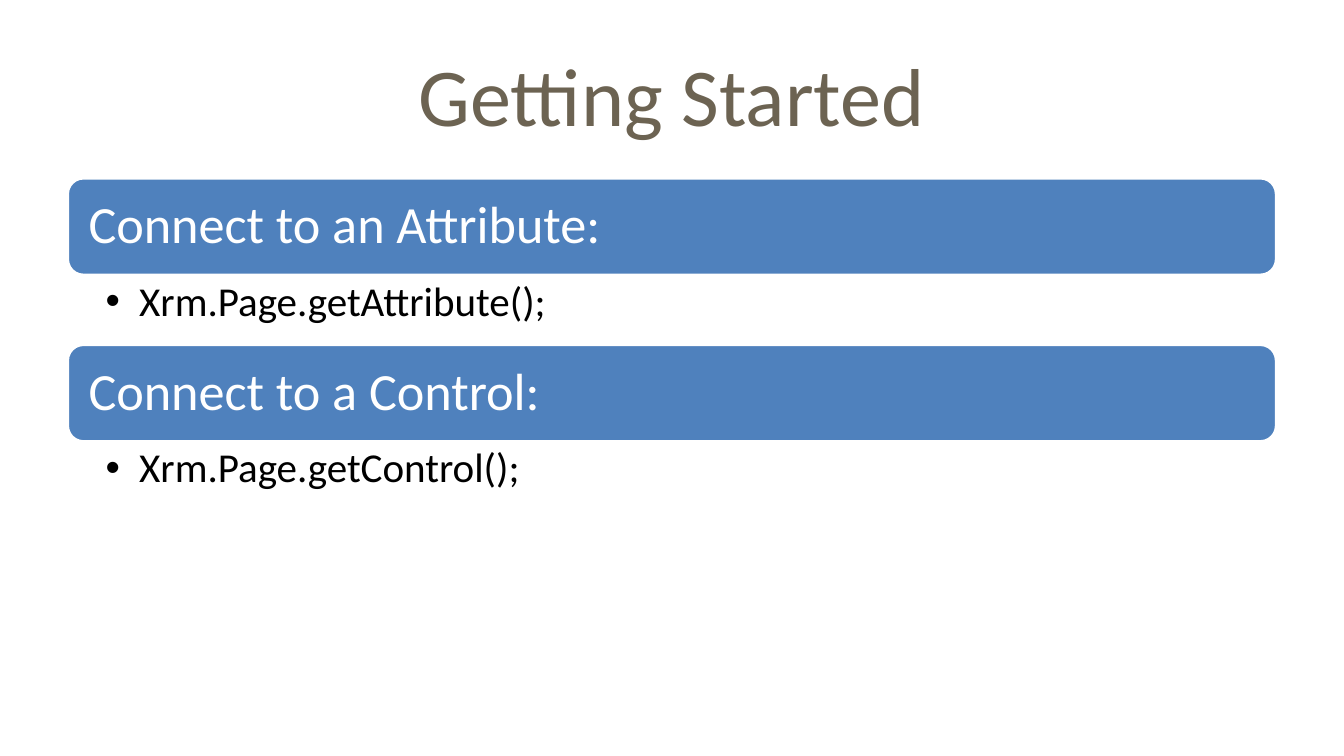
from dataclasses import dataclass
from lxml import etree
from pptx import Presentation
from pptx.dml.color import RGBColor
from pptx.enum import shapes, text
from pptx.oxml import ns
from pptx.util import Pt

HEADING = "Getting Started"
STEPS = [
    ("Connect to an Attribute:", "Xrm.Page.getAttribute();"),
    ("Connect to a Control:", "Xrm.Page.getControl();"),
]


@dataclass(frozen=True)
class Theme:
    font: str = "Calibri"
    heading: str = "6C6352"
    banner: str = "4F81BD"
    light: str = "FFFFFF"
    dark: str = "000000"
    heading_size: int = 44
    banner_size: int = 28
    call_size: int = 22


THEME = Theme()
LEFT, WIDTH = 36, 648
HEADING_TOP, HEADING_HEIGHT = 16.5, 67.5
STEPS_TOP, BANNER_HEIGHT, CALL_HEIGHT = 95.2, 52.4, 36.8
INDENT = 18


def box(top, height):
    return Pt(LEFT), Pt(top), Pt(WIDTH), Pt(height)


def write(shape, words, size, color, align, anchor, insets, spacing=1.0, bullet=None):
    frame = shape.text_frame
    frame.text = words
    frame.word_wrap = True
    frame.vertical_anchor = anchor
    frame.margin_left, frame.margin_top, frame.margin_right, frame.margin_bottom = map(Pt, insets)
    paragraph = frame.paragraphs[0]
    paragraph.alignment = align
    paragraph.line_spacing = spacing
    if bullet:
        properties = paragraph._p.get_or_add_pPr()
        properties.set("marL", str(Pt(INDENT)))
        properties.set("indent", str(-Pt(INDENT)))
        etree.SubElement(properties, ns.qn("a:buFont")).set("typeface", "Arial")
        etree.SubElement(properties, ns.qn("a:buChar")).set("char", bullet)
    font = paragraph.runs[0].font
    font.name = THEME.font
    font.size = Pt(size)
    font.color.rgb = RGBColor.from_string(color)


def add_step(slide, top, label, call):
    banner = slide.shapes.add_shape(
        shapes.MSO_SHAPE.ROUNDED_RECTANGLE, *box(top, BANNER_HEIGHT))
    banner.shadow.inherit = False
    banner.fill.solid()
    banner.fill.fore_color.rgb = RGBColor.from_string(THEME.banner)
    banner.line.color.rgb = RGBColor.from_string(THEME.light)
    banner.line.width = Pt(2)
    write(banner, label, THEME.banner_size, THEME.light, text.PP_ALIGN.LEFT,
          text.MSO_ANCHOR.MIDDLE, (8.9, 8.6, 8.9, 8.6), 0.9)

    example = slide.shapes.add_textbox(*box(top + BANNER_HEIGHT, CALL_HEIGHT))
    write(example, call, THEME.call_size, THEME.dark, text.PP_ALIGN.LEFT,
          text.MSO_ANCHOR.TOP, (20.6, 2.8, 15.7, 2.8), 0.9, "•")


def main():
    deck = Presentation()
    deck.slide_width, deck.slide_height = Pt(720), Pt(405)
    slide = deck.slides.add_slide(deck.slide_layouts[6])
    heading = slide.shapes.add_textbox(*box(HEADING_TOP, HEADING_HEIGHT))
    write(heading, HEADING, THEME.heading_size, THEME.heading, text.PP_ALIGN.CENTER,
          text.MSO_ANCHOR.MIDDLE, (7.2, 3.6, 7.2, 3.6))
    for index, (label, call) in enumerate(STEPS):
        add_step(slide, STEPS_TOP + index * (BANNER_HEIGHT + CALL_HEIGHT), label, call)
    deck.save("out.pptx")


if __name__ == "__main__":
    main()
